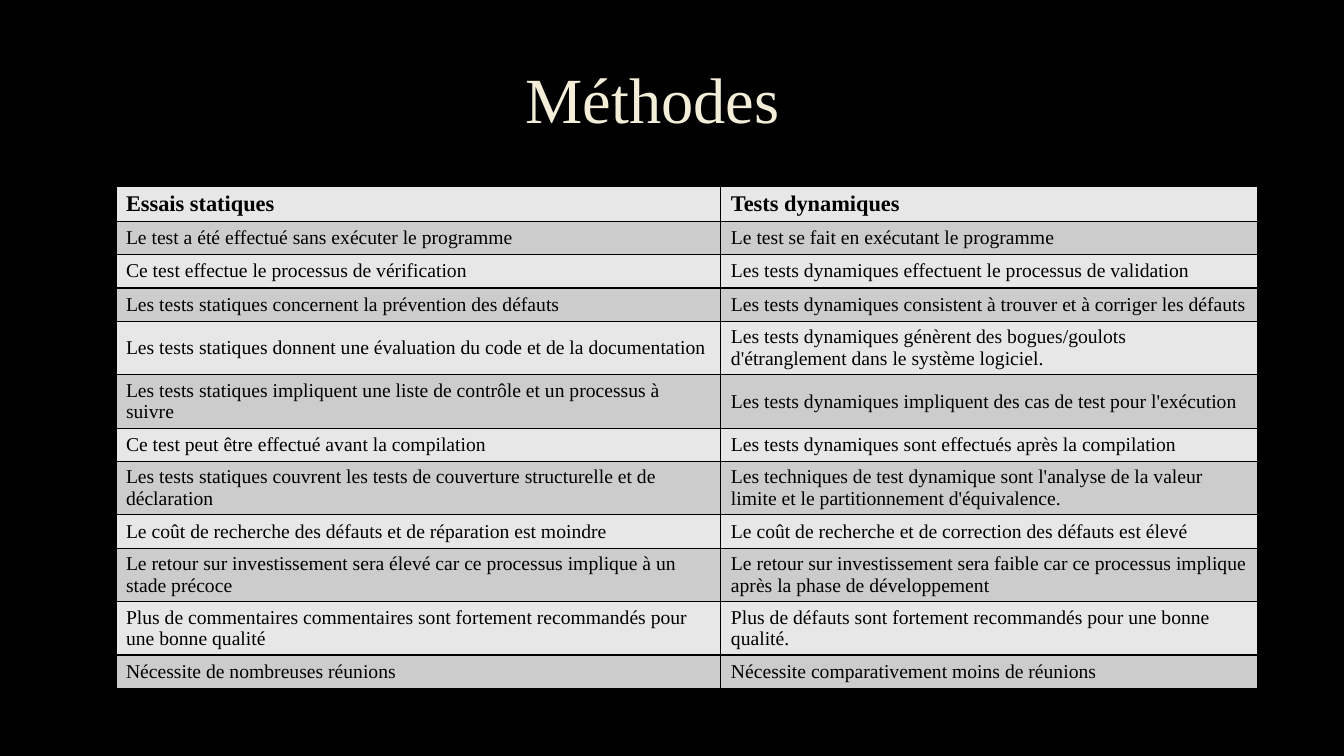
from dataclasses import dataclass

from lxml.etree import SubElement
from pptx import Presentation
from pptx.dml.color import RGBColor
from pptx.enum.text import MSO_ANCHOR, PP_ALIGN
from pptx.oxml import parse_xml
from pptx.oxml.ns import qn
from pptx.slide import Slide
from pptx.table import _Cell
from pptx.text.text import _Paragraph
from pptx.util import Inches, Pt

FONT = "Times New Roman"
BLACK = "000000"
CREAM = "F4EDD8"
OUTLINE = "404040"
BANDS = ("E7E7E7", "CCCCCC")
COLUMN_WIDTHS = (6, 5.32)
NS = 'xmlns:a="http://schemas.openxmlformats.org/drawingml/2006/main"'


@dataclass(frozen=True)
class Comparison:
    static: str
    dynamic: str
    height: float = 0.33
    size: int = 14
    bold: bool = False


COMPARISONS = [
    Comparison("Essais statiques", "Tests dynamiques", 0.19, 16, True),
    Comparison("Le test a été effectué sans exécuter le programme",
               "Le test se fait en exécutant le programme"),
    Comparison("Ce test effectue le processus de vérification",
               "Les tests dynamiques effectuent le processus de validation"),
    Comparison("Les tests statiques concernent la prévention des défauts",
               "Les tests dynamiques consistent à trouver et à corriger les défauts"),
    Comparison("Les tests statiques donnent une évaluation du code et de la documentation",
               "Les tests dynamiques génèrent des bogues/goulots d'étranglement "
               "dans le système logiciel.", 0.47),
    Comparison("Les tests statiques impliquent une liste de contrôle et un processus à suivre",
               "Les tests dynamiques impliquent des cas de test pour l'exécution"),
    Comparison("Ce test peut être effectué avant la compilation",
               "Les tests dynamiques sont effectués après la compilation"),
    Comparison("Les tests statiques couvrent les tests de couverture structurelle et de déclaration",
               "Les techniques de test dynamique sont l'analyse de la valeur limite "
               "et le partitionnement d'équivalence.", 0.47),
    Comparison("Le coût de recherche des défauts et de réparation est moindre",
               "Le coût de recherche et de correction des défauts est élevé"),
    Comparison("Le retour sur investissement sera élevé car ce processus implique à un stade précoce",
               "Le retour sur investissement sera faible car ce processus implique "
               "après la phase de développement", 0.47),
    Comparison("Plus de commentaires commentaires sont fortement recommandés pour une bonne qualité",
               "Plus de défauts sont fortement recommandés pour une bonne qualité.", 0.48),
    Comparison("Nécessite de nombreuses réunions",
               "Nécessite comparativement moins de réunions"),
]


def rgb(color: str) -> RGBColor:
    return RGBColor.from_string(color)


def format_text(p: _Paragraph, size: float, color: str, bold: bool = False) -> None:
    for r in p.runs:
        r.font.name = FONT
        r.font.size = Pt(size)
        r.font.bold = bold
        r.font.color.rgb = rgb(color)


def add_borders(cell: _Cell, color: str, width: float) -> None:
    props = cell._tc.get_or_add_tcPr()
    for index, side in enumerate(("lnL", "lnR", "lnT", "lnB")):
        props.insert(index, parse_xml(
            f'<a:{side} {NS} w="{Pt(width)}"><a:solidFill>'
            f'<a:srgbClr val="{color}"/></a:solidFill></a:{side}>'))


def add_title(s: Slide, text: str) -> None:
    title = s.shapes.title
    title.left, title.top = Inches(0.81), Inches(0.33)
    title.width, title.height = Inches(11.32), Inches(1.38)
    tf = title.text_frame
    tf.text = text
    tf.vertical_anchor = MSO_ANCHOR.MIDDLE
    p = tf.paragraphs[0]
    p.alignment = PP_ALIGN.CENTER
    p.line_spacing = 0.9
    format_text(p, 46, CREAM)
    line = parse_xml(f'<a:ln {NS} w="{Pt(0.75)}"/>')
    fill = SubElement(line, qn("a:solidFill"))
    color = SubElement(fill, qn("a:srgbClr"), val=OUTLINE)
    SubElement(color, qn("a:alpha"), val="10000")
    p.runs[0].font._element.insert(0, line)


def fill_cell(cell: _Cell, text: str, row: Comparison, band: str) -> None:
    cell.text_frame.text = text
    cell.vertical_anchor = MSO_ANCHOR.MIDDLE
    cell.fill.solid()
    cell.fill.fore_color.rgb = rgb(band)
    format_text(cell.text_frame.paragraphs[0], row.size, BLACK, row.bold)
    add_borders(cell, BLACK, 1)


def add_comparison_table(s: Slide, rows: list[Comparison]) -> None:
    table = s.shapes.add_table(
        len(rows), len(COLUMN_WIDTHS), Inches(1.15), Inches(1.85),
        Inches(sum(COLUMN_WIDTHS)), Inches(sum(row.height for row in rows))).table
    table.first_row = table.horz_banding = False
    for column, width in zip(table.columns, COLUMN_WIDTHS):
        column.width = Inches(width)
    for i, row in enumerate(rows):
        table.rows[i].height = Inches(row.height)
        for j, text in enumerate((row.static, row.dynamic)):
            fill_cell(table.cell(i, j), text, row, BANDS[i % 2])


def main() -> None:
    prs = Presentation()
    prs.slide_width, prs.slide_height = Inches(13.33), Inches(7.5)
    s = prs.slides.add_slide(prs.slide_layouts[5])
    s.background.fill.solid()
    s.background.fill.fore_color.rgb = rgb(BLACK)
    add_title(s, "Méthodes")
    add_comparison_table(s, COMPARISONS)
    prs.save("out.pptx")


if __name__ == "__main__":
    main()
